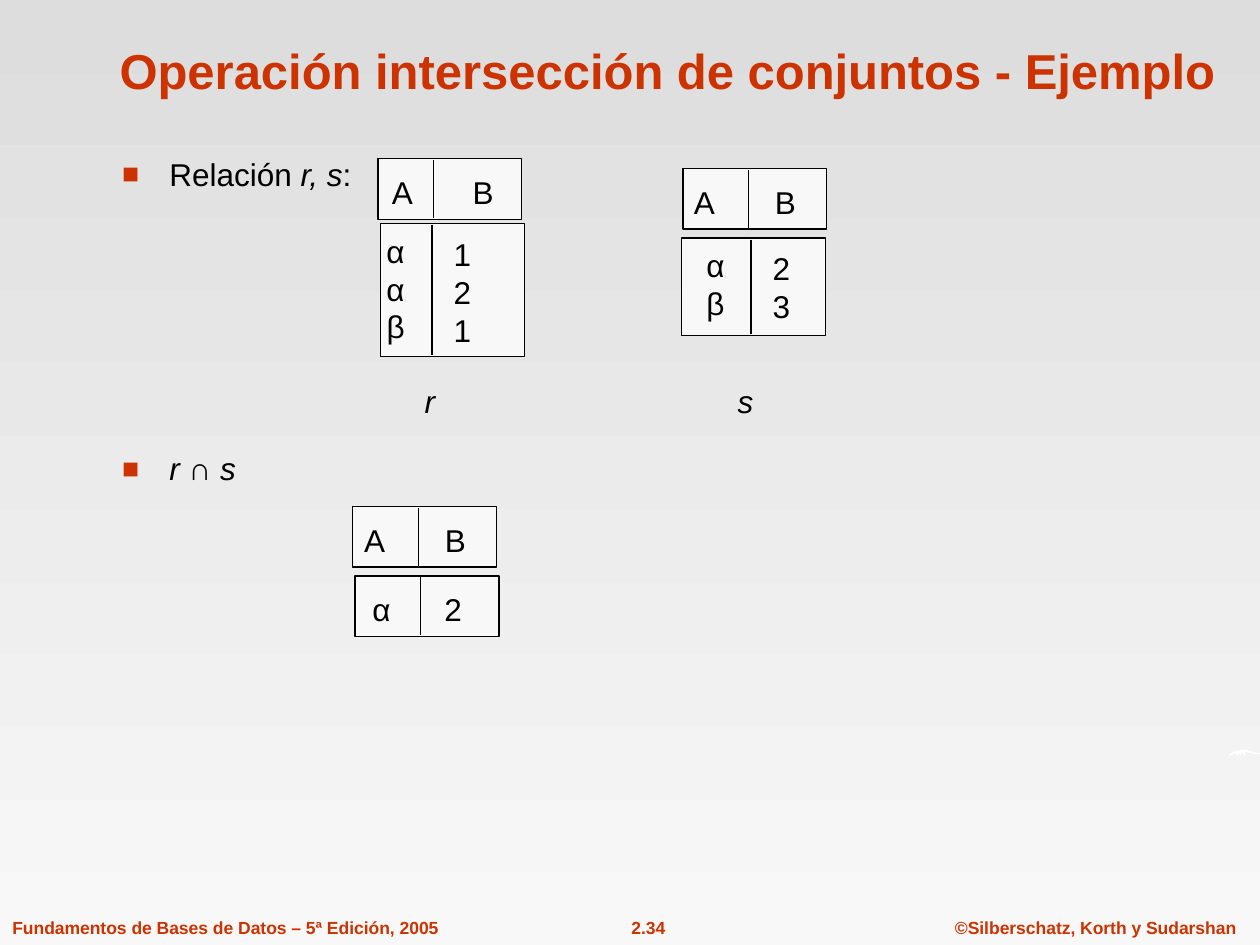
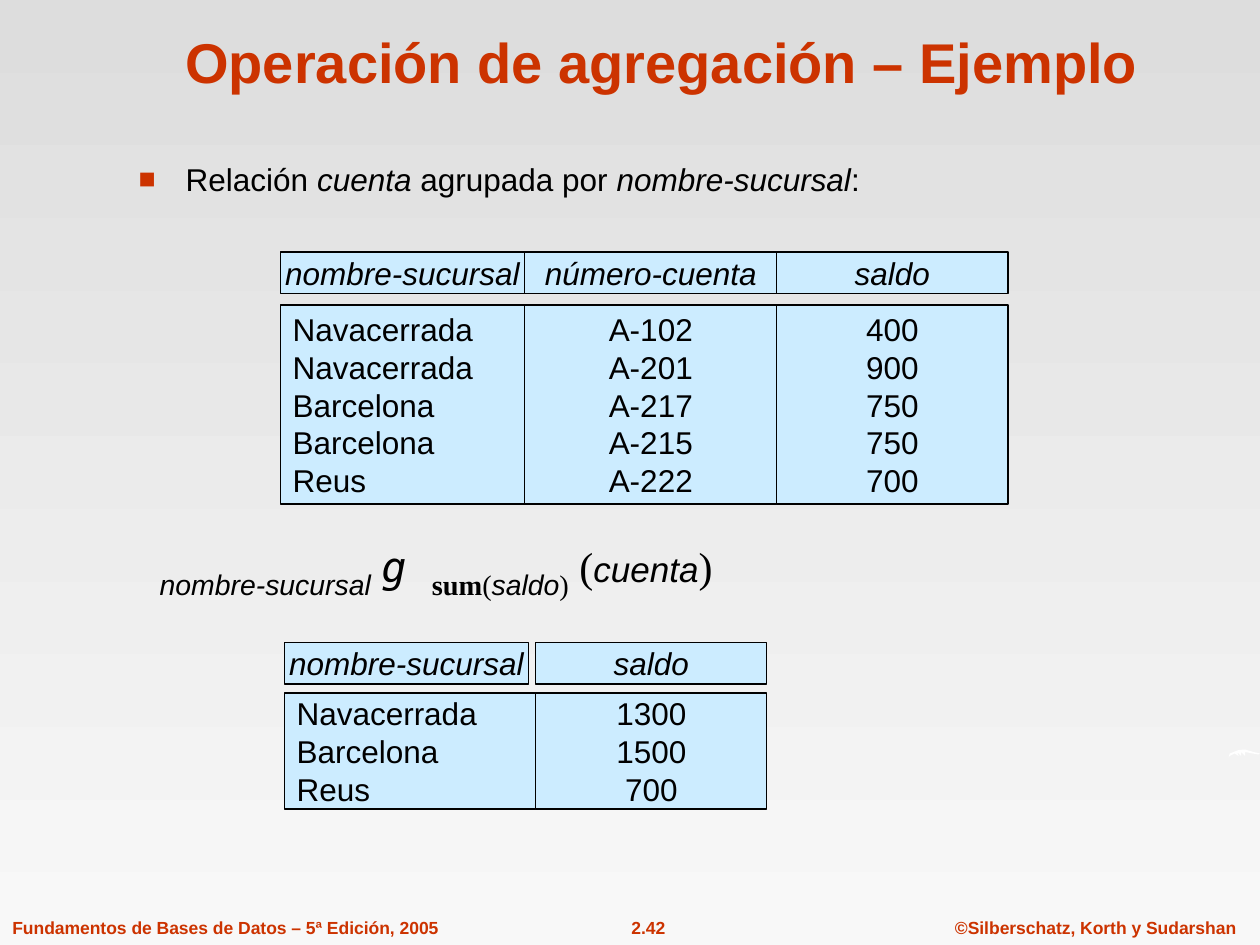
from lxml import etree
from pptx import Presentation
from pptx.dml.color import RGBColor
from pptx.enum.shapes import MSO_CONNECTOR, MSO_SHAPE
from pptx.enum.text import MSO_ANCHOR, MSO_AUTO_SIZE, PP_ALIGN
from pptx.oxml.ns import qn
from pptx.util import Cm, Pt

LEFT, CENTER = PP_ALIGN.LEFT, PP_ALIGN.CENTER
TOP, MIDDLE, BOTTOM = MSO_ANCHOR.TOP, MSO_ANCHOR.MIDDLE, MSO_ANCHOR.BOTTOM
NO_FIT, GROW = MSO_AUTO_SIZE.NONE, MSO_AUTO_SIZE.SHAPE_TO_FIT_TEXT
RECTANGLE, STRAIGHT = MSO_SHAPE.RECTANGLE, MSO_CONNECTOR.STRAIGHT

RUST = RGBColor(0xCC, 0x33, 0x00)
BLACK = RGBColor(0x00, 0x00, 0x00)
WHITE = RGBColor(0xFF, 0xFF, 0xFF)
SKY = RGBColor(0xCC, 0xEC, 0xFF)
MIST = RGBColor(0xF8, 0xF8, 0xF8)
SILVER = RGBColor(0xDD, 0xDD, 0xDD)

SANS, SERIF, MONO = "Arial", "Times New Roman", "DejaVu Sans Mono"
TEXT = {"name": SANS, "size": Pt(18), "bold": False, "italic": False}
ITALIC = {"italic": True}
FOOTER = {"size": Pt(10), "bold": True}
SUBSCRIPT = -25000
LINE_WIDTH = Pt(0.75)
PAIR_WIDTH, PAIR_HEIGHT = 2.9, 1.22
HEADING_HEIGHT = 0.84

# White sweep at the right edge, in hundredths of a centimetre
SWEEP = [(2477, 1527), (2479, 1519), (2487, 1516), (2497, 1512), (2510, 1511),
         (2527, 1516), (2540, 1519), (2537, 1521), (2525, 1519), (2510, 1516),
         (2510, 1524), (2502, 1516), (2502, 1524), (2494, 1516), (2497, 1524),
         (2489, 1519), (2479, 1524)]


# Formatting helpers
def apply_format(target, values):
    for name, value in values.items():
        setattr(target, name, value)


def format_font(font, values, color=BLACK):
    apply_format(font, {**TEXT, **values})
    font.color.rgb = color


def add_spans(para, spans, color=BLACK):
    """Each span is its text, its font values and, if lowered, its baseline."""
    for text, values, *baseline in spans:
        span = para.add_run()
        span.text = text
        format_font(span.font, values, color)
        if baseline:
            span._r.get_or_add_rPr().set("baseline", str(baseline[0]))


def fill_lines(frame, lines, align, values, color=BLACK):
    for index, line in enumerate(lines):
        para = frame.add_paragraph() if index else frame.paragraphs[0]
        para.alignment = align
        add_spans(para, [(line, values)], color)


def paint(shape, color):
    shape.shadow.inherit = False
    shape.fill.solid()
    shape.fill.fore_color.rgb = color


def outline(line):
    line.color.rgb = BLACK
    line.width = LINE_WIDTH


def place(shape, *box):
    names = ("left", "top", "width", "height")
    apply_format(shape, dict(zip(names, map(Cm, box))))


# Parts shared by every slide
def set_background(deck):
    fill = deck.slide_master.background.fill
    fill.gradient()
    fill.gradient_angle = 270
    for stop, color in zip(fill.gradient_stops, (SILVER, MIST)):
        stop.color.rgb = color


def add_sweep(slide):
    builder = slide.shapes.build_freeform(*SWEEP[0], scale=Cm(0.01))
    builder.add_line_segments(SWEEP[1:], close=True)
    sweep = builder.convert_to_shape()
    paint(sweep, WHITE)
    sweep.line.fill.background()


def add_slide(deck, number, title, title_size, title_box):
    slide = deck.slides.add_slide(deck.slide_layouts[1])
    heading = slide.shapes.title
    place(heading, *title_box)
    frame = heading.text_frame
    apply_format(frame, {"vertical_anchor": BOTTOM, "auto_size": NO_FIT, "word_wrap": True})
    fill_lines(frame, [title], CENTER, {"size": Pt(title_size), "bold": True}, RUST)

    add_sweep(slide)
    for text, left, width, align in (
            ("Fundamentos de Bases de Datos – 5ª Edición, 2005", 0, 9.09, LEFT),
            (number, 12.45, 1.24, CENTER),
            ("©Silberschatz, Korth y Sudarshan", 19, 6.17, CENTER)):
        add_label(slide, (left, 18.36, width, 0.68), [text], align, FOOTER, RUST)
    return slide


# Kinds of element
def add_label(slide, box, lines, align=CENTER, values={}, color=BLACK):
    label = slide.shapes.add_textbox(*map(Cm, box))
    apply_format(label.text_frame, {"word_wrap": False, "auto_size": GROW})
    fill_lines(label.text_frame, lines, align, values, color)


def add_bullet(para):
    props = para._p.get_or_add_pPr()
    props.set("marL", str(Cm(0.95)))
    props.set("indent", str(-Cm(0.95)))
    color = etree.SubElement(props, qn("a:buClr"))
    etree.SubElement(color, qn("a:srgbClr"), val=str(RUST))
    etree.SubElement(props, qn("a:buSzPct"), val="90000")
    etree.SubElement(props, qn("a:buFont"), typeface=SANS)
    etree.SubElement(props, qn("a:buChar"), char="■")


def fill_body(slide, box, items, gap=0):
    body = slide.placeholders[1]
    place(body, *box)
    frame = body.text_frame
    apply_format(frame, {"vertical_anchor": TOP, "auto_size": NO_FIT, "word_wrap": True})
    for index, spans in enumerate(items):
        para = frame.add_paragraph() if index else frame.paragraphs[0]
        add_bullet(para)
        para.space_before = Pt(gap if index else 0)
        add_spans(para, spans)


def add_split_box(slide, left, top, height, divider):
    """Pale box with a vertical divider."""
    box = slide.shapes.add_shape(RECTANGLE, *map(Cm, (left, top, PAIR_WIDTH, height)))
    paint(box, MIST)
    outline(box.line)
    ends = (divider, top + 0.03, divider, top + height - 0.03)
    rule = slide.shapes.add_connector(STRAIGHT, *map(Cm, ends))
    outline(rule.line)
    etree.SubElement(rule._element.spPr, qn("a:effectLst"))


def add_pair(slide, left, top, first, second, tab):
    """Two values on one line, the second at a tab stop."""
    label = slide.shapes.add_textbox(*map(Cm, (left, top, PAIR_WIDTH, 1.02)))
    label.text_frame.word_wrap = True
    para = label.text_frame.paragraphs[0]
    tabs = etree.SubElement(para._p.get_or_add_pPr(), qn("a:tabLst"))
    etree.SubElement(tabs, qn("a:tab"), pos=str(Cm(tab)), algn="l")
    add_spans(para, [(f"{first}\t{second}", {})])


def add_cell(slide, box, lines, align=CENTER, values={}):
    cell = slide.shapes.add_shape(RECTANGLE, *map(Cm, box))
    paint(cell, SKY)
    outline(cell.line)
    apply_format(cell.text_frame, {"vertical_anchor": MIDDLE, "word_wrap": False})
    fill_lines(cell.text_frame, lines, align, values)


def add_relation(slide, heading_top, body_top, body_height, columns):
    """Each column: heading, left, heading width, body width, align, values."""
    for heading, left, heading_width, width, align, values in columns:
        add_cell(slide, (left, heading_top, heading_width, HEADING_HEIGHT),
                 [heading], CENTER, ITALIC)
        add_cell(slide, (left, body_top, width, body_height), values, align)


# Slides
def build_intersection(deck):
    slide = add_slide(deck, "2.34", "Operación intersección de conjuntos - Ejemplo",
                      28, (1.9, 0.43, 23.11, 1.7))
    fill_body(slide, (2.21, 3, 21.79, 13.54), [
        [("Relación ", {}), ("r, s", ITALIC), (":", {})],
        [("r ", ITALIC), ("∩ ", {}), ("s", ITALIC)],
    ], gap=146.5)

    # Headings of r, s and the result
    for left, top, divider, text_left in (
            (7.62, 3.2, 8.74, 7.65), (13.77, 3.4, 15.09, 13.74), (7.11, 10.21, 8.43, 7.09)):
        add_split_box(slide, left, top, PAIR_HEIGHT, divider)
        add_pair(slide, text_left, top + 0.17, "A", "B", 1.63)

    # Rows of r and s
    for left, top, height, divider, letters, letters_left, numbers, numbers_left, text_top in (
            (7.67, 4.5, 2.69, 8.71, "ααβ", 7.52, "121", 8.89, 4.55),
            (13.74, 4.8, 1.96, 15.14, "αβ", 13.97, "23", 15.32, 4.83)):
        add_split_box(slide, left, top, height, divider)
        text_height = 0.25 + 0.76 * len(letters)
        add_label(slide, (letters_left, text_top, 0.91, text_height), letters)
        add_label(slide, (numbers_left, text_top + 0.07, 0.86, text_height), numbers)
    for name, left, width in (("r", 8.31, 0.71), ("s", 14.61, 0.84)):
        add_label(slide, (left, 7.57, width, 1.02), [name], CENTER, ITALIC)

    # Row of the result
    add_split_box(slide, 7.16, 11.61, PAIR_HEIGHT, 8.48)
    add_pair(slide, 7.26, 11.76, "α", "2", 1.45)


def build_aggregation(deck):
    slide = add_slide(deck, "2.42", "Operación de agregación – Ejemplo",
                      32, (2.13, 0.33, 22.43, 1.7))
    fill_body(slide, (2.54, 3.1, 19.08, 1.14), [
        [("Relación ", {}), ("cuenta", ITALIC), (" agrupada por ", {}),
         ("nombre-sucursal", ITALIC), (":", {})]])

    # Aggregation formula
    lowered = {"size": Pt(28)}
    lowered_serif = {**lowered, "name": SERIF}
    lowered_italic = {**lowered, **ITALIC}
    serif = {"name": SERIF, "size": Pt(24)}
    formula = slide.shapes.add_textbox(*map(Cm, (2.97, 10.64, 19.53, 1.63)))
    formula.text_frame.word_wrap = True
    add_spans(formula.text_frame.paragraphs[0], [
        ("nombre-sucursal", lowered_italic, SUBSCRIPT),
        (" ", serif),
        ("g ", {"name": MONO, "size": Pt(24), **ITALIC}),
        ("sum", {**lowered_serif, "bold": True}, SUBSCRIPT),
        ("(", lowered_serif, SUBSCRIPT),
        ("saldo", lowered_italic, SUBSCRIPT),
        (")", lowered_serif, SUBSCRIPT),
        (" (", serif),
        ("cuenta", {"size": Pt(20), **ITALIC}),
        (")", serif),
    ])

    # Accounts, then balance by branch
    add_relation(slide, 5.08, 6.15, 4.01, [
        ("nombre-sucursal", 5.65, 4.93, 5, LEFT,
         ["Navacerrada", "Navacerrada", "Barcelona", "Barcelona", "Reus"]),
        ("número-cuenta", 10.58, 5.08, 5.08, CENTER,
         ["A-102", "A-201", "A-217", "A-215", "A-222"]),
        ("saldo", 15.66, 4.66, 4.66, CENTER, ["400", "900", "750", "750", "700"]),
    ])
    add_relation(slide, 12.95, 13.97, 2.34, [
        ("nombre-sucursal", 5.73, 4.93, 5.07, LEFT, ["Navacerrada", "Barcelona", "Reus"]),
        ("saldo", 10.8, 4.66, 4.66, CENTER, ["1300", "1500", "700"]),
    ])


def main():
    deck = Presentation()
    deck.slide_width, deck.slide_height = Cm(25.4), Cm(19.05)
    set_background(deck)
    build_intersection(deck)
    build_aggregation(deck)
    deck.save("out.pptx")


if __name__ == "__main__":
    main()
